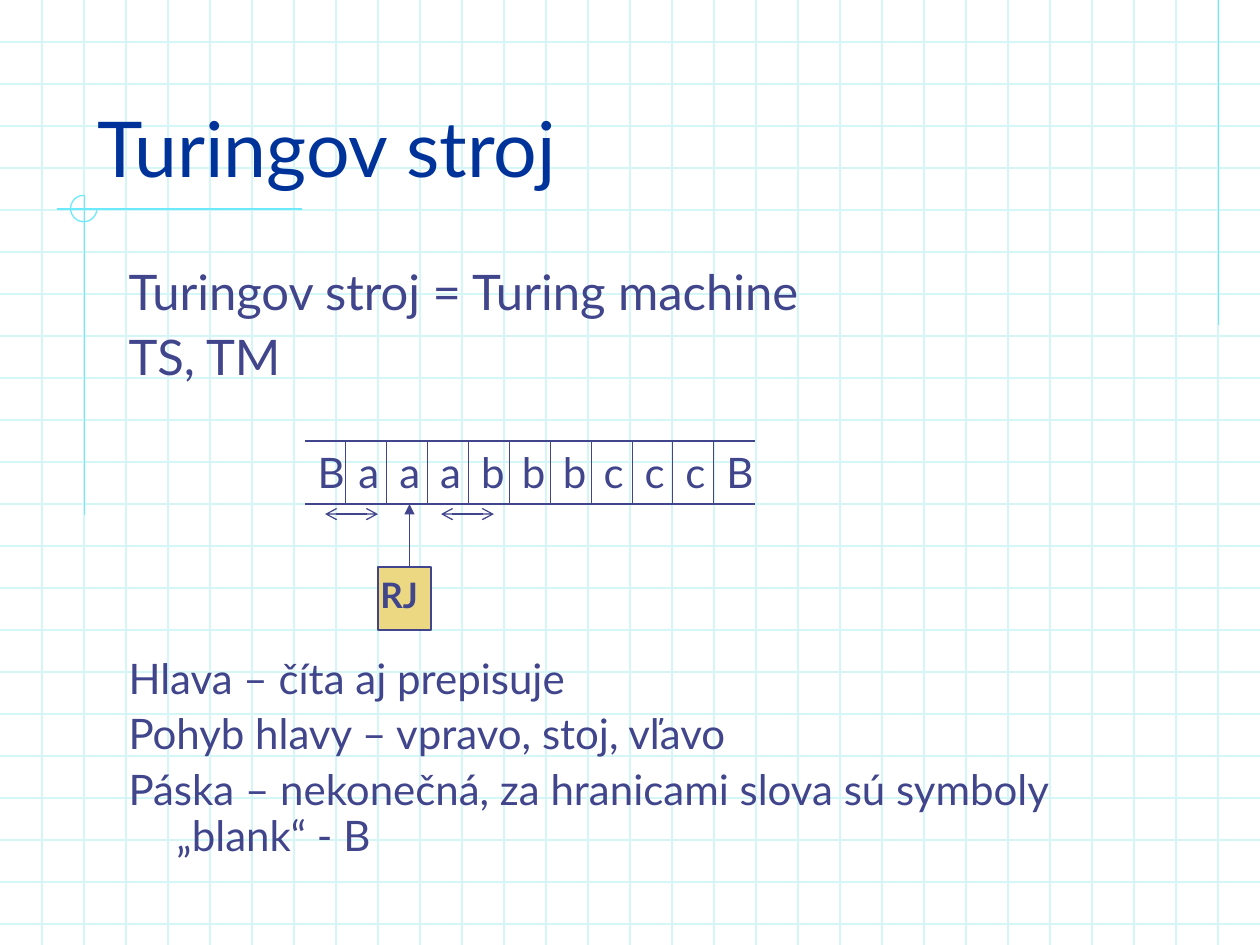
import lxml.etree
import pptx
import pptx.dml.color
import pptx.enum.shapes
import pptx.enum.text
import pptx.oxml.ns
import pptx.util

Inches = pptx.util.Inches
Pt = pptx.util.Pt
qn = pptx.oxml.ns.qn
RGB = pptx.dml.color.RGBColor.from_string

THEME = {
    "font": "Lato",
    "title": "003399",
    "ink": "40458C",
    "grid": "D5F6F7",
    "accent": "6CE9FA",
    "control": "ECD882",
    "title_size": 44,
    "lead_size": 28,
    "text_size": 24,
    "label_size": 20,
}


def write(para, text, size, colour, bold=False, **layout):
    span = para.add_run()
    span.text = text
    span.font.color.rgb = RGB(THEME[colour])
    formats = {"name": THEME["font"], "size": Pt(THEME[size]), "bold": bold}
    for name, value in formats.items():
        setattr(span.font, name, value)
    for name, value in layout.items():
        setattr(para, name, value)


def draw_line(shapes, start, end, colour, **arrows):
    x1, y1, x2, y2 = [Inches(value) for value in (*start, *end)]
    line = shapes.add_connector(
        pptx.enum.shapes.MSO_CONNECTOR.STRAIGHT, x1, y1, x2, y2)
    line.line.color.rgb = RGB(THEME[colour])
    line.line.width = Pt(0.75)
    properties = line.element.spPr
    for end_name, arrow in arrows.items():
        lxml.etree.SubElement(properties.find(qn("a:ln")), qn(f"a:{end_name}"), type=arrow)
    lxml.etree.SubElement(properties, qn("a:effectLst"))


deck = pptx.Presentation()
deck.slide_width = Inches(10)
deck.slide_height = Inches(7.5)
page = deck.slides.add_slide(deck.slide_layouts[1])

backdrop = page.shapes.add_group_shape()
for row in range(1, 23):
    draw_line(backdrop.shapes, (0, row / 3), (10, row / 3), "grid")
for column in range(1, 30):
    draw_line(backdrop.shapes, (column / 3, 0), (column / 3, 7.5), "grid")
for start, end in [((9.67, 0), (9.67, 2.58)),
                   ((2.4, 1.66), (0.45, 1.66)),
                   ((0.67, 1.55), (0.67, 4.09))]:
    draw_line(backdrop.shapes, start, end, "accent")
ring = backdrop.shapes.add_shape(
    pptx.enum.shapes.MSO_SHAPE.ARC,
    Inches(0.56), Inches(1.55), Inches(0.21), Inches(0.21))
ring.adjustments[0] = 0
ring.adjustments[1] = 162
ring.shadow.inherit = False
ring.fill.background()
ring.line.color.rgb = RGB(THEME["accent"])
ring.line.width = Pt(0.75)
page.shapes.element.insert(2, backdrop.element)

title = page.shapes.title
body = page.placeholders[1]
for box, left, top, width, height, anchor in [
        (title, 0.67, 0.33, 8.5, 1.25, pptx.enum.text.MSO_ANCHOR.BOTTOM),
        (body, 0.92, 2.08, 8.5, 4.83, pptx.enum.text.MSO_ANCHOR.TOP)]:
    frame = {"left": left, "top": top, "width": width, "height": height}
    for name, value in frame.items():
        setattr(box, name, Inches(value))
    box.text_frame.vertical_anchor = anchor
    box.text_frame.word_wrap = True
    box.text_frame.auto_size = pptx.enum.text.MSO_AUTO_SIZE.NONE

write(title.text_frame.paragraphs[0], "Turingov stroj", "title_size", "title",
      alignment=pptx.enum.text.PP_ALIGN.LEFT)

statements = [
    ("Turingov stroj = Turing machine", "lead_size", 0),
    ("TS, TM", "lead_size", 7),
    ("Hlava – číta aj prepisuje", "text_size", 155),
    ("Pohyb hlavy – vpravo, stoj, vľavo", "text_size", 6),
    ("Páska – nekonečná, za hranicami slova sú symboly „blank“ - B", "text_size", 6),
]
for index, (text, size, gap) in enumerate(statements):
    para = body.text_frame.paragraphs[0] if index == 0 else body.text_frame.add_paragraph()
    write(para, text, size, "ink", space_before=Pt(gap), line_spacing=0.9)
    properties = para._p.get_or_add_pPr()
    properties.set("marL", str(Inches(0.38)))
    properties.set("indent", str(Inches(-0.38)))
    lxml.etree.SubElement(properties, qn("a:buNone"))

symbols = "BaaabbbcccB"
tape = page.shapes.add_table(
    1, len(symbols), Inches(2.42), Inches(3.5), Inches(3.57), Inches(0.5)).table
tape.first_row = False
tape.horz_banding = False
for index, symbol in enumerate(symbols):
    tape.columns[index].width = Inches(3.57) // len(symbols)
    cell = tape.cell(0, index)
    write(cell.text_frame.paragraphs[0], symbol, "text_size", "ink")
    borders = {
        "lnL": 0.45 if index > 0 else 0,
        "lnR": 0.45 if index < len(symbols) - 1 else 0,
        "lnT": 1.08,
        "lnB": 1.08,
    }
    for side, width in borders.items():
        border = lxml.etree.SubElement(
            cell._tc.get_or_add_tcPr(), qn(f"a:{side}"), w=str(Pt(width)))
        if width:
            fill = lxml.etree.SubElement(border, qn("a:solidFill"))
            lxml.etree.SubElement(fill, qn("a:srgbClr"), val=THEME["ink"])
        else:
            lxml.etree.SubElement(border, qn("a:noFill"))
    cell.fill.background()

draw_line(page.shapes, (3.25, 4), (3.25, 4.5), "ink", headEnd="triangle")
control = page.shapes.add_shape(
    pptx.enum.shapes.MSO_SHAPE.RECTANGLE,
    Inches(3), Inches(4.5), Inches(0.42), Inches(0.5))
control.shadow.inherit = False
control.fill.solid()
control.fill.fore_color.rgb = RGB(THEME["control"])
control.line.color.rgb = RGB(THEME["ink"])
control.line.width = Pt(0.75)

label = page.shapes.add_textbox(Inches(2.92), Inches(4.5), Inches(0.67), Inches(0.44))
label.text_frame.word_wrap = True
write(label.text_frame.paragraphs[0], "RJ", "label_size", "ink", bold=True)

for left in (3.5, 2.58):
    draw_line(page.shapes, (left, 4.08), (left + 0.42, 4.08), "ink",
              headEnd="arrow", tailEnd="arrow")

deck.save("out.pptx")
